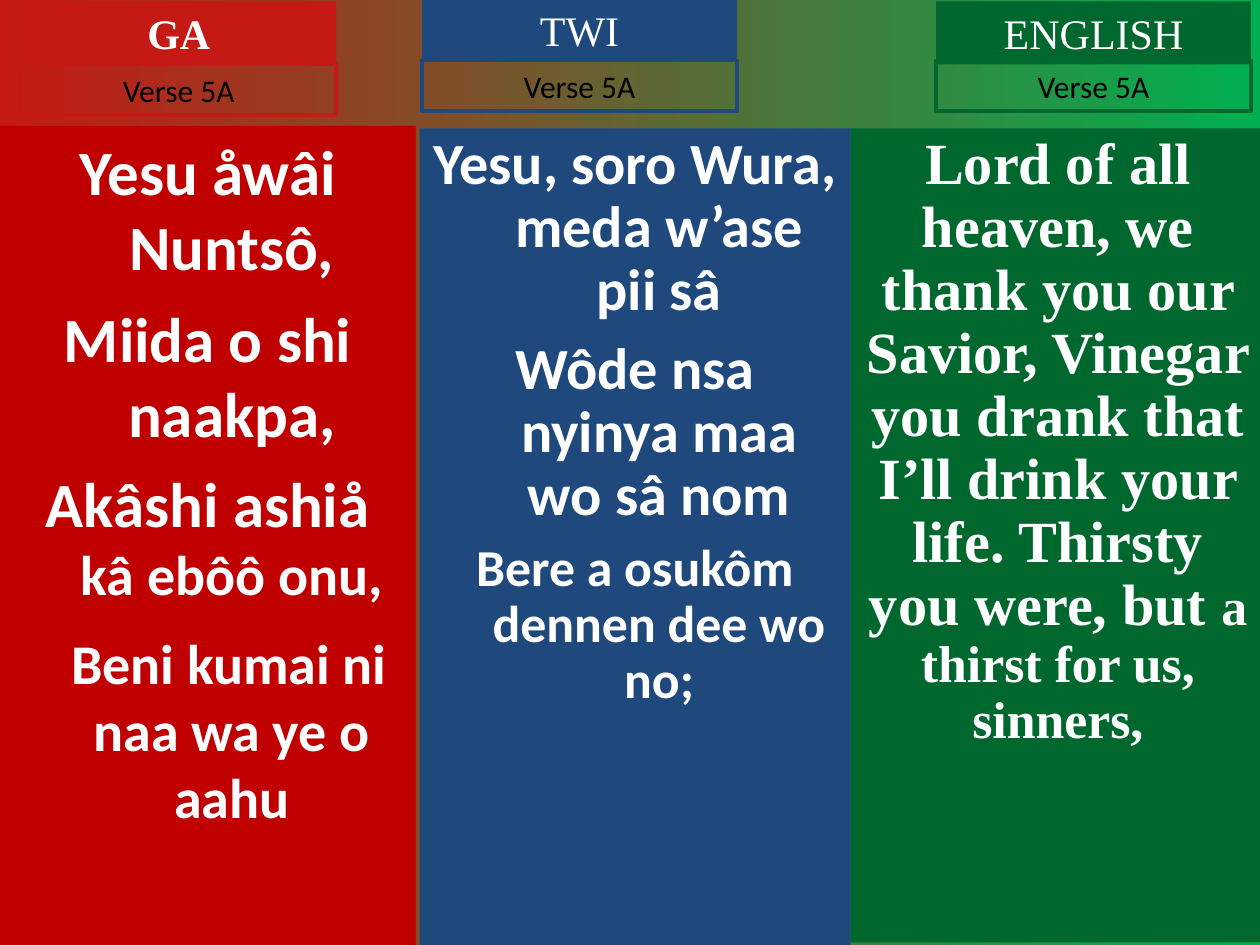
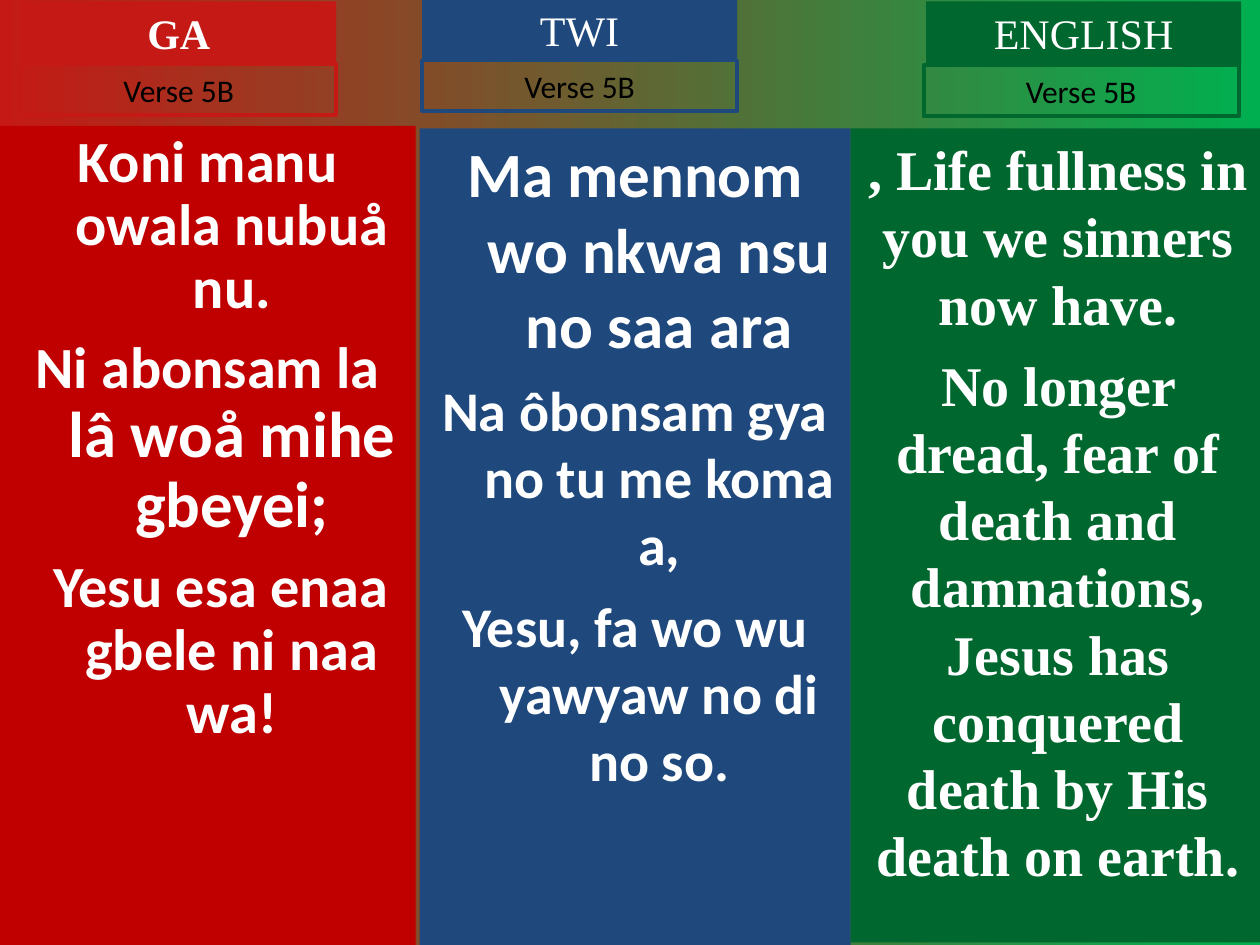
"""Build two hymn slides with Ga, Twi and English verses side by side."""
from pptx import Presentation
from pptx.dml.color import RGBColor
from pptx.enum.shapes import MSO_SHAPE
from pptx.enum.text import MSO_ANCHOR, PP_ALIGN
from pptx.util import Cm, Pt

RECT = MSO_SHAPE.RECTANGLE
TOP = MSO_ANCHOR.TOP
CENTER = PP_ALIGN.CENTER
rgb = RGBColor.from_string

SANS, SERIF = "Calibri", "Times New Roman"
WHITE, BLACK = "FFFFFF", "000000"
RED, BLUE, GREEN = "C51915", "1F497D", "00682F"
BAND_W, TITLE_H, VERSE_H = 6.35, 1.27, 1.02
HANG = 0.97

LANGUAGES = [
    ("GA", RED, "C00000", SANS, HANG, (0, 2.54, 8.38, 16.51)),
    ("TWI", BLUE, BLUE, SANS, HANG, (8.46, 2.59, 8.69, 16.46)),
    ("ENGLISH", GREEN, GREEN, SERIF, 0, (17.15, 2.59, 8.36, 16.41)),
]

# Title and verse corners, then per language: line spacing and
# paragraphs of (space before, first-line shift, runs).
SLIDES = [
    ("Verse 5A",
     [((0.43, 0.03), (0.43, 1.3)),
      ((8.51, -0.03), (8.51, 1.22)),
      ((18.87, 0.03), (18.87, 1.22))],
     [(1.0, [
         (0, 0, [("Yesu åwâi Nuntsô,", 36)]),
         (9, 0, [("Miida o shi naakpa,", 36)]),
         (8, 0, [("Akâshi ashiå ", 36), ("kâ ebôô onu,", 32)]),
         (12, 0.86, [("Beni kumai ni naa wa ye o aahu", 32)])]),
      (0.9, [
          (0, 0, [("Yesu, soro Wura, meda w’ase pii sâ", 33.3)]),
          (9, 0, [("Wôde nsa nyinya maa wo sâ nom", 33.3)]),
          (8, 0, [("Bere a osukôm dennen dee wo no;", 29.6)])]),
      (0.9, [
          (0, 0, [("Lord of all heaven, we thank you our Savior, Vinegar you "
                   "drank that I’ll drink your life. Thirsty you were, but ", 33.3),
                  ("a thirst for us, sinners,", 29.6)])])]),
    ("Verse 5B",
     [((0.43, 0.03), (0.43, 1.3)),
      ((8.51, -0.03), (8.51, 1.22)),
      ((18.67, 0.03), (18.62, 1.32))],
     [(0.9, [
         (0, 0, [("Koni manu owala nubuå nu.", 33.3)]),
         (10, 0, [("Ni abonsam la ", 33.3), ("lâ woå mihe gbeyei;", 37)]),
         (9, 0.53, [("Yesu esa enaa gbele ni naa wa!", 33.3)])]),
      (1.0, [
          (0, 0, [("Ma mennom wo nkwa nsu no saa ara", 36)]),
          (8, 0, [("Na ôbonsam gya no tu me koma a,", 32)]),
          (8, 0, [("Yesu, fa wo wu yawyaw no di no so.", 32)])]),
      (1.0, [
          (0, 0, [(", Life fullness in you we sinners now have.", 32)]),
          (8, 0, [("No longer dread, fear of death and damnations, Jesus has "
                   "conquered death by His death on earth.", 32)])])]),
]


def add_box(s, at, fill=None, line=None):
    sp = s.shapes.add_shape(RECT, *[Cm(v) for v in at])
    sp.shadow.inherit = False
    if fill:
        sp.fill.solid()
        sp.fill.fore_color.rgb = rgb(fill)
    else:
        sp.fill.background()
    if line:
        sp.line.color.rgb = rgb(line)
        sp.line.width = Pt(2.25)
    else:
        sp.line.fill.background()
    tf = sp.text_frame
    tf.word_wrap = True
    tf.vertical_anchor = TOP
    return tf


def add_runs(p, runs, font, color, bold):
    p.alignment = CENTER
    for text, size in runs:
        r = p.add_run()
        r.text = text
        r.font.name = font
        r.font.size = Pt(size)
        r.font.bold = bold
        r.font.color.rgb = rgb(color)


prs = Presentation()
prs.slide_width, prs.slide_height = Cm(25.4), Cm(19.05)

for verse, corners, lyrics in SLIDES:
    s = prs.slides.add_slide(prs.slide_layouts[6])
    bg = s.background.fill
    bg.gradient()
    bg.gradient_angle = 0
    for stop, position, color in zip(bg.gradient_stops, (0, 1), (RED, "00B050")):
        stop.position = position
        stop.color.rgb = rgb(color)

    for language, (title_at, verse_at), (spacing, paragraphs) in zip(LANGUAGES, corners, lyrics):
        name, accent, panel, font, hang, panel_at = language
        tf = add_box(s, panel_at, fill=panel)
        for i, (before, shift, runs) in enumerate(paragraphs):
            p = tf.add_paragraph() if i else tf.paragraphs[0]
            pPr = p._p.get_or_add_pPr()
            pPr.set("marL", str(Cm(hang)))
            pPr.set("indent", str(Cm(shift - hang)))
            p.line_spacing = spacing
            p.space_before = Pt(before)
            add_runs(p, runs, font, WHITE, True)

        tf = add_box(s, (*title_at, BAND_W, TITLE_H), fill=accent)
        add_runs(tf.paragraphs[0], [(name, 24)], SERIF, WHITE, name == "GA")
        tf = add_box(s, (*verse_at, BAND_W, VERSE_H), line=accent)
        add_runs(tf.paragraphs[0], [(verse, 18)], SANS, BLACK, False)

prs.save("out.pptx")
